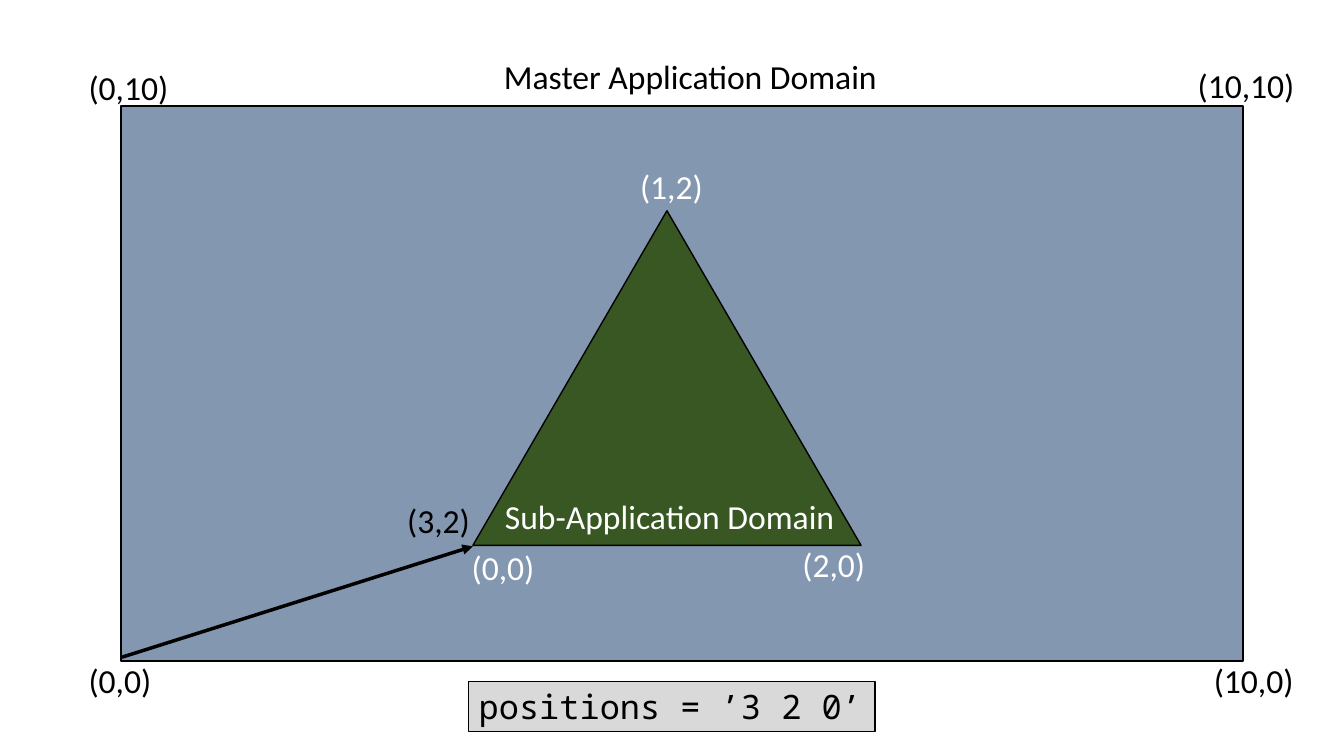
from dataclasses import dataclass

from lxml.etree import SubElement as Sub
from pptx import Presentation as Deck
from pptx.dml.color import RGBColor as Rgb
from pptx.enum.shapes import MSO_CONNECTOR as Link, MSO_SHAPE as Form
from pptx.enum.text import MSO_ANCHOR as Anchor, MSO_AUTO_SIZE as Fit, PP_ALIGN as Align
from pptx.oxml.ns import qn
from pptx.util import Inches, Pt


@dataclass(frozen=True)
class Theme:
    black: str = "000000"
    white: str = "FFFFFF"
    master: str = "8497B0"
    child: str = "385723"
    code: str = "D9D9D9"
    sans: str = "Calibri"
    mono: str = "Noto Sans Mono"
    size: float = 24
    thin: float = 1
    thick: float = 2.5


def write(frame, text, *, font, size, color, align=Align.LEFT):
    """Put one line of formatted text in a frame that fits around it."""
    frame.word_wrap = False
    frame.auto_size = Fit.SHAPE_TO_FIT_TEXT
    frame.vertical_anchor = Anchor.TOP
    line = frame.paragraphs[0]
    line.alignment = align
    run = line.add_run()
    run.text = text
    run.font.name = font
    run.font.size = Pt(size)
    run.font.color.rgb = Rgb.from_string(color)


class Board:
    def __init__(self, slide, theme):
        self.slide = slide
        self.theme = theme

    def label(self, text, left, top, width, color):
        box = self.slide.shapes.add_textbox(
            Inches(left), Inches(top), Inches(width), Inches(0.5))
        write(box.text_frame, text, font=self.theme.sans,
              size=self.theme.size, color=color)

    def shape(self, form, left, top, width, height, fill):
        item = self.slide.shapes.add_shape(
            form, Inches(left), Inches(top), Inches(width), Inches(height))
        item.shadow.inherit = False
        item.fill.solid()
        item.fill.fore_color.rgb = Rgb.from_string(fill)
        item.line.color.rgb = Rgb.from_string(self.theme.black)
        item.line.width = Pt(self.theme.thin)
        return item

    def code(self, text, left, top, width, height):
        item = self.shape(Form.RECTANGLE, left, top, width, height, self.theme.code)
        write(item.text_frame, text, font=self.theme.mono,
              size=self.theme.size, color=self.theme.black)

    def arrow(self, start, end):
        item = self.slide.shapes.add_connector(
            Link.STRAIGHT, *map(Inches, start + end))
        item.line.color.rgb = Rgb.from_string(self.theme.black)
        item.line.width = Pt(self.theme.thick)
        Sub(item.line._get_or_add_ln(), qn("a:tailEnd"), type="triangle")
        Sub(item._element.spPr, qn("a:effectLst"))


def main():
    deck = Deck()
    deck.slide_width, deck.slide_height = Inches(13.33), Inches(7.5)
    theme = Theme()
    board = Board(deck.slides.add_slide(deck.slide_layouts[6]), theme)

    # Domains
    board.shape(Form.RECTANGLE, 1.2, 1.05, 11.13, 5.51, theme.master)
    board.shape(Form.ISOSCELES_TRIANGLE, 4.69, 2.09, 3.85, 3.32, theme.child)

    # Offset from the master origin to the sub-application origin
    board.arrow((1.21, 6.52), (4.69, 5.42))

    # Names and coordinates: text, left, top, width
    dark = [
        ("Master Application Domain", 4.9, 0.51, 3.93),
        ("(0,0)", 0.78, 6.5, 0.83),
        ("(10,0)", 11.94, 6.5, 1),
        ("(10,10)", 11.78, 0.59, 1.17),
        ("(0,10)", 0.78, 0.61, 1),
        ("(3,2)", 3.94, 4.91, 0.83),
    ]
    light = [
        ("Sub-Application Domain", 4.91, 4.87, 3.5),
        ("(0,0)", 4.58, 5.38, 0.83),
        ("(2,0)", 7.86, 5.35, 0.83),
        ("(1,2)", 6.25, 1.6, 0.83),
    ]
    for color, rows in ((theme.black, dark), (theme.white, light)):
        for row in rows:
            board.label(*row, color)

    # Input setting
    board.code("positions = ’3 2 0’", 4.65, 6.76, 4.03, 0.5)

    deck.save("out.pptx")


if __name__ == "__main__":
    main()
